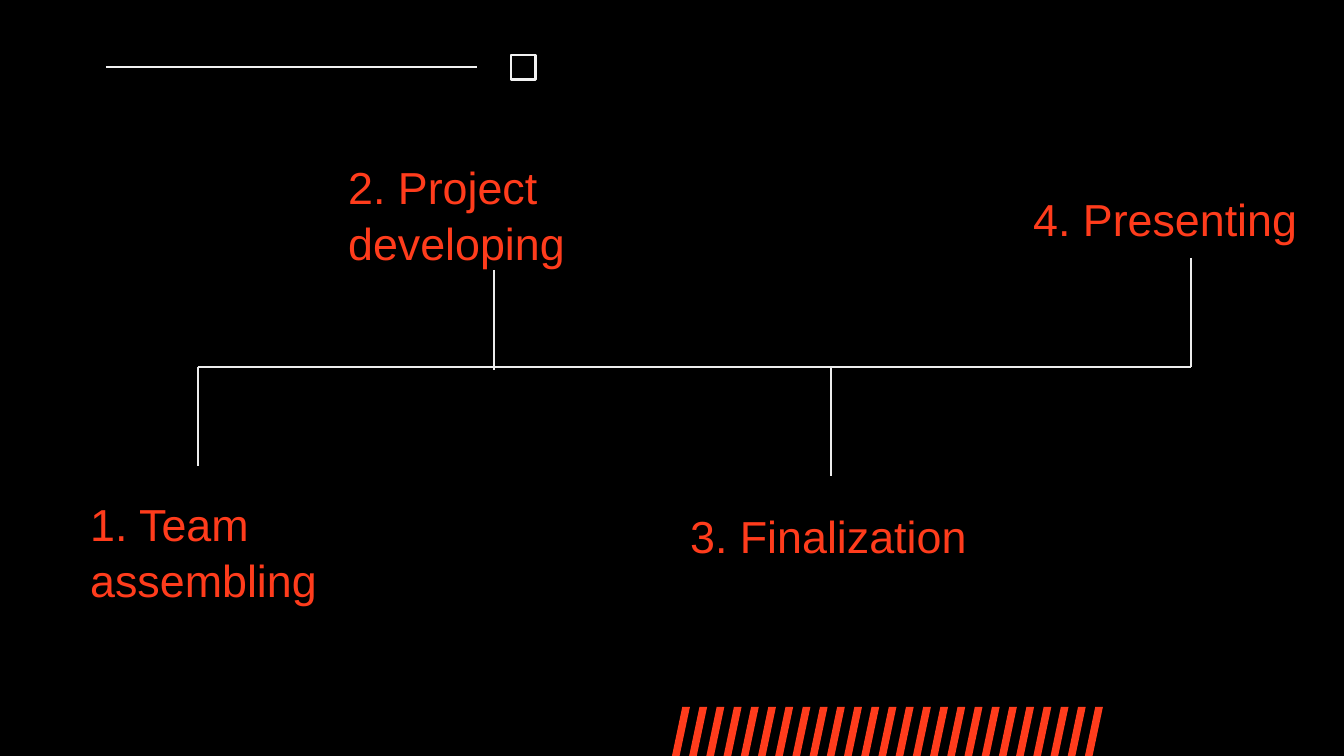
from dataclasses import dataclass

from lxml import etree
from pptx import Presentation
from pptx.dml.color import RGBColor
from pptx.enum.shapes import MSO_CONNECTOR, MSO_SHAPE
from pptx.oxml.ns import qn
from pptx.util import Pt

STRAIGHT = MSO_CONNECTOR.STRAIGHT
PARALLELOGRAM = MSO_SHAPE.PARALLELOGRAM
RECTANGLE = MSO_SHAPE.RECTANGLE


@dataclass(frozen=True)
class Theme:
    background: RGBColor = RGBColor.from_string("000000")
    accent: RGBColor = RGBColor.from_string("FF3C1C")
    ornament: RGBColor = RGBColor.from_string("F1F1F1")
    timeline: RGBColor = RGBColor.from_string("ECECEC")
    font: str = "Arial"
    label_size: Pt = Pt(24)
    thick: Pt = Pt(1.5)
    thin: Pt = Pt(0.75)


theme = Theme()


def px(count):
    return round(count * 914400 / 134.4)


def add_line(page, x1, y1, x2, y2, color, width):
    line = page.shapes.add_connector(STRAIGHT, px(x1), px(y1), px(x2), px(y2))
    line.line.color.rgb = color
    line.line.width = width
    etree.SubElement(line._element.spPr, qn("a:effectLst"))


deck = Presentation()
deck.slide_width = px(1344)
deck.slide_height = px(756)
page = deck.slides.add_slide(deck.slide_layouts[6])
page.background.fill.solid()
page.background.fill.fore_color.rgb = theme.background

stripe_count = 25
first_stripe, last_stripe = 672, 1085
for index in range(stripe_count):
    left = first_stripe + (last_stripe - first_stripe) * index / (stripe_count - 1)
    stripe = page.shapes.add_shape(PARALLELOGRAM, px(left), px(707), px(18), px(49))
    stripe.adjustments[0] = 0.575
    stripe.shadow.inherit = False
    stripe.fill.solid()
    stripe.fill.fore_color.rgb = theme.accent
    stripe.line.fill.background()

add_line(page, 106, 67, 477, 67, theme.ornament, theme.thick)
square = page.shapes.add_shape(RECTANGLE, px(511), px(55), px(25), px(25))
square.shadow.inherit = False
square.fill.background()
square.line.color.rgb = theme.ornament
square.line.width = theme.thick

axis_y = 367
add_line(page, 198, axis_y, 1191, axis_y, theme.timeline, theme.thin)

steps = [
    ("1. Team assembling", 77, 487, 122, 198, axis_y, 466),
    ("2. Project developing", 335, 150, 122, 494, 270, 370),
    ("3. Finalization", 677, 499, 67, 831, axis_y, 476),
    ("4. Presenting", 1020, 183, 67, 1191, 258, axis_y),
]
for label, left, top, height, tick_x, tick_top, tick_bottom in steps:
    add_line(page, tick_x, tick_top, tick_x, tick_bottom, theme.timeline, theme.thin)
    box = page.shapes.add_textbox(px(left), px(top), px(343), px(height))
    box.text_frame.word_wrap = True
    para = box.text_frame.paragraphs[0]
    para.line_spacing = 1.05
    span = para.add_run()
    span.text = label
    span.font.name = theme.font
    span.font.size = theme.label_size
    span.font.color.rgb = theme.accent

deck.save("out.pptx")
